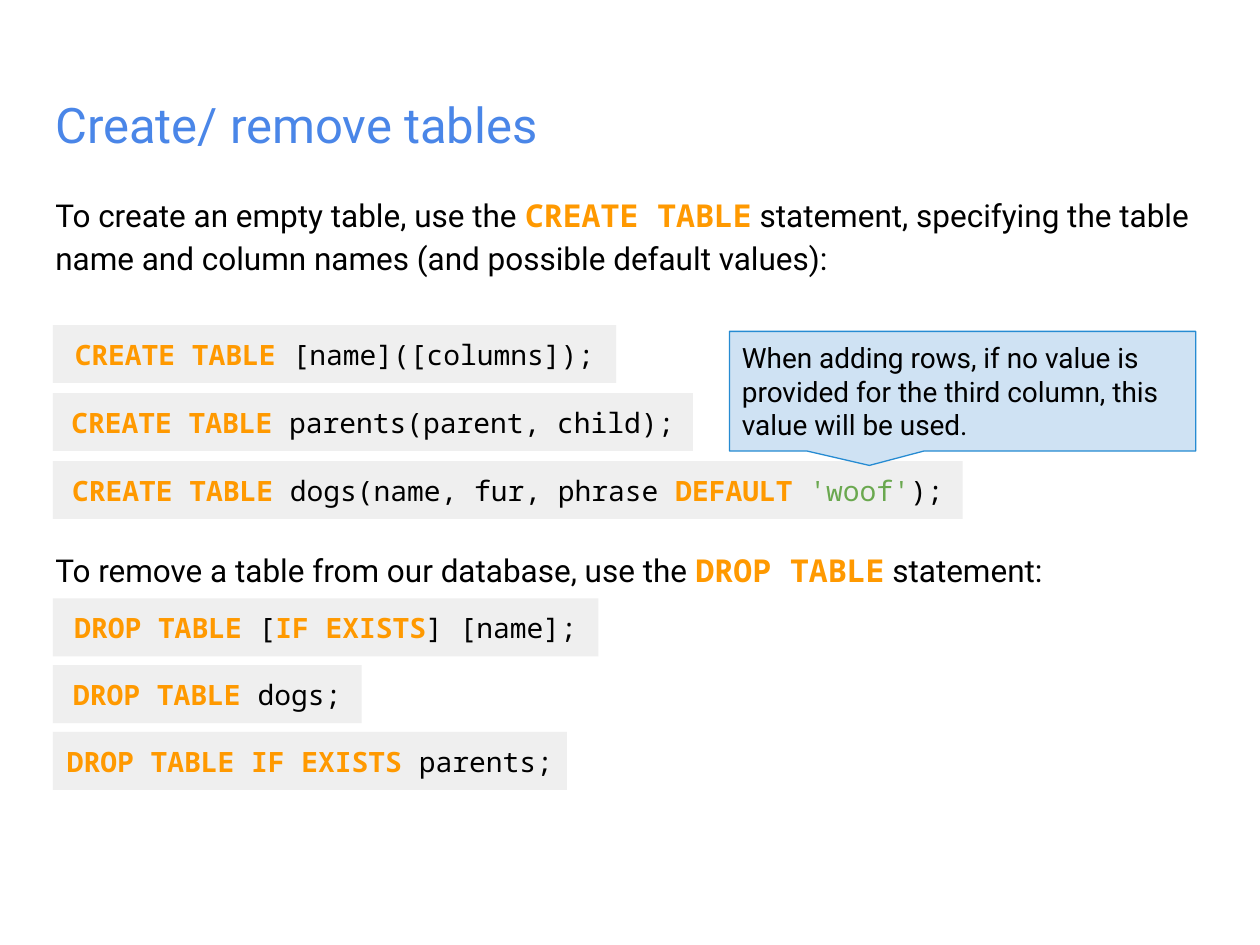
from pptx import Presentation
from pptx.dml.color import RGBColor
from pptx.enum.shapes import MSO_SHAPE
from pptx.enum.text import MSO_ANCHOR, PP_ALIGN
from pptx.util import Inches, Pt

BLUE = RGBColor(0x4A, 0x86, 0xE8)
ORANGE = RGBColor(0xFF, 0x99, 0x00)
GREEN = RGBColor(0x6A, 0xA8, 0x4F)
BLACK = RGBColor(0, 0, 0)
GREY = RGBColor(0xEF, 0xEF, 0xEF)
PALE = RGBColor(0xCF, 0xE2, 0xF3)
EDGE = RGBColor(0x26, 0x8B, 0xD2)

HEAD = {"name": "Roboto", "color": BLUE, "bold": False}
TEXT = {"name": "Roboto", "color": BLACK, "bold": False}
KEY = {"name": "Noto Sans Mono", "color": ORANGE, "bold": True}
CODE = {"name": "Noto Sans Mono", "color": BLACK, "bold": False}
QUOTE = {"name": "Noto Sans Mono", "color": GREEN, "bold": False}

CREATE = [
    (4.47, [("CREATE TABLE ", KEY), ("[name]([columns]);", CODE)]),
    (5.08, [("CREATE TABLE ", KEY), ("parents(parent, child);", CODE)]),
    (7.22, [("CREATE TABLE ", KEY), ("dogs(name, fur, phrase ", CODE),
            ("DEFAULT ", KEY), ("'woof'", QUOTE), (");", CODE)]),
]
DROP = [
    (4.33, [("DROP TABLE ", KEY), ("[", CODE), ("IF EXISTS", KEY),
            ("] [name];", CODE)]),
    (2.45, [("DROP TABLE ", KEY), ("dogs;", CODE)]),
    (4.08, [("DROP TABLE IF EXISTS ", KEY), ("parents;", CODE)]),
]


def fill_text(shape, parts, size, anchor=MSO_ANCHOR.TOP, **para):
    """Write styled parts as one paragraph in the shape."""
    frame = shape.text_frame
    look = {"word_wrap": True, "vertical_anchor": anchor}
    for side in ("left", "right", "top", "bottom"):
        look[f"margin_{side}"] = Inches(0.1)
    for key, value in look.items():
        setattr(frame, key, value)
    line = frame.paragraphs[0]
    for key, value in para.items():
        setattr(line, key, value)
    for words, style in parts:
        run = line.add_run()
        run.text = words
        run.font.color.rgb = style["color"]
        for key in ("name", "bold"):
            setattr(run.font, key, style[key])
        run.font.size = Pt(size)


def add_box(slide, kind, box, fill):
    """Add a flat filled shape."""
    shape = slide.shapes.add_shape(kind, *map(Inches, box))
    shape.shadow.inherit = False
    shape.fill.solid()
    shape.fill.fore_color.rgb = fill
    shape.line.fill.background()
    return shape


def add_title(slide, box, words):
    """Place the slide title."""
    shape = slide.shapes.add_textbox(*map(Inches, box))
    fill_text(shape, [(words, HEAD)], 28)


def add_body(slide, box, parts):
    """Place a paragraph of explanation."""
    shape = slide.shapes.add_textbox(*map(Inches, box))
    fill_text(shape, parts, 18, line_spacing=1.15, space_after=Pt(16))


def add_codes(slide, left, top, step, rows):
    """Stack code boxes downward at an equal step."""
    for i, (width, parts) in enumerate(rows):
        box = (left, top + i * step, width, 0.46)
        shape = add_box(slide, MSO_SHAPE.RECTANGLE, box, GREY)
        fill_text(shape, parts, 16, MSO_ANCHOR.MIDDLE,
                  alignment=PP_ALIGN.CENTER)


def add_note(slide, box, words):
    """Place the callout that points at the default value."""
    shape = add_box(slide, MSO_SHAPE.ROUNDED_RECTANGULAR_CALLOUT, box, PALE)
    for i, value in enumerate((-0.2, 0.62, 0)):
        shape.adjustments[i] = value
    shape.line.color.rgb = EDGE
    shape.line.width = Pt(0.75)
    fill_text(shape, [(words, TEXT)], 16, MSO_ANCHOR.MIDDLE,
              alignment=PP_ALIGN.LEFT)


def main():
    """Build and save the slide."""
    deck = Presentation()
    deck.slide_width, deck.slide_height = Inches(10), Inches(7.5)
    slide = deck.slides.add_slide(deck.slide_layouts[6])
    add_title(slide, (0.34, 0.65, 9.32, 0.83), "Create/ remove tables")
    add_body(slide, (0.34, 1.41, 9.32, 1.99), [
        ("To create an empty table, use the ", TEXT),
        ("CREATE TABLE", KEY),
        (" statement, specifying the table name and column names "
         "(and possible default values):", TEXT)])
    add_body(slide, (0.34, 4.23, 9.32, 0.54), [
        ("To remove a table from our database, use the ", TEXT),
        ("DROP TABLE", KEY),
        (" statement:", TEXT)])
    add_codes(slide, 0.42, 2.58, 0.54, CREATE)
    add_codes(slide, 0.42, 4.75, 0.53, DROP)
    add_note(slide, (5.79, 2.63, 3.7, 0.95),
             "When adding rows, if no value is provided for the third "
             "column, this value will be used.")
    deck.save("out.pptx")


if __name__ == "__main__":
    main()
